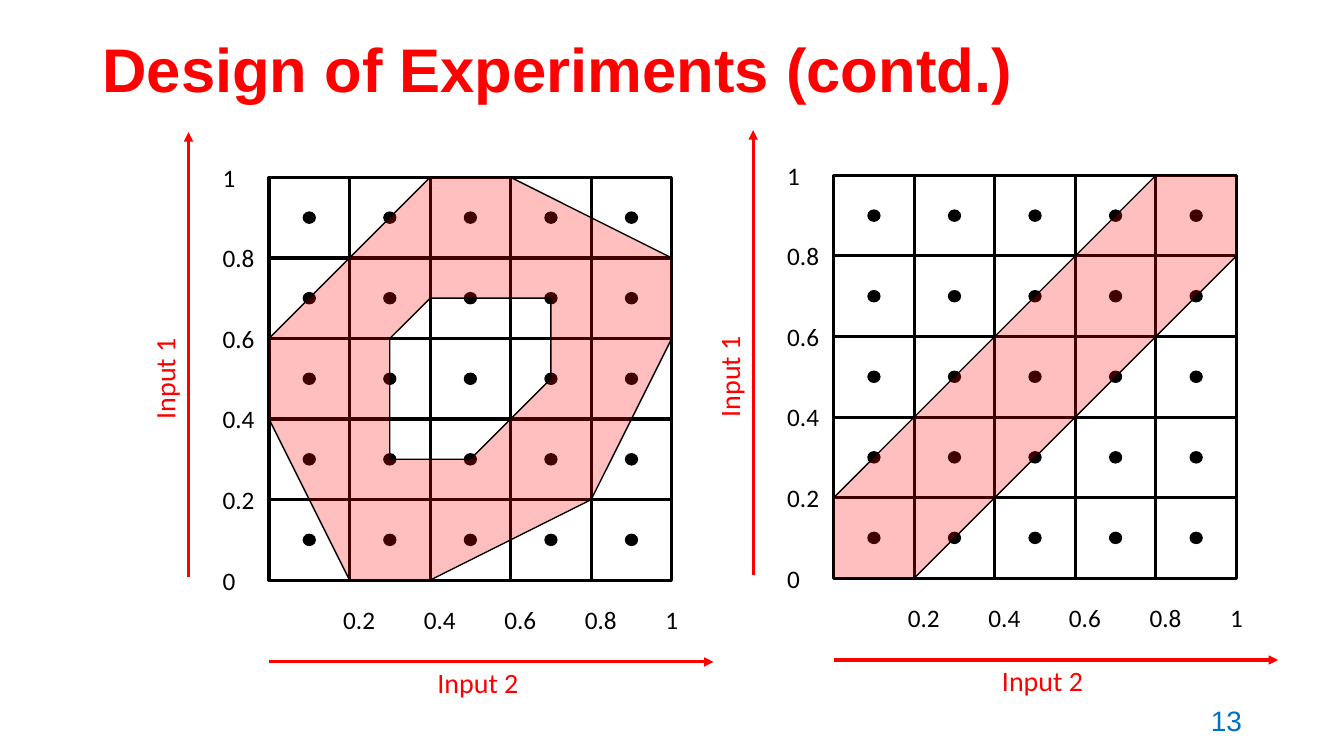
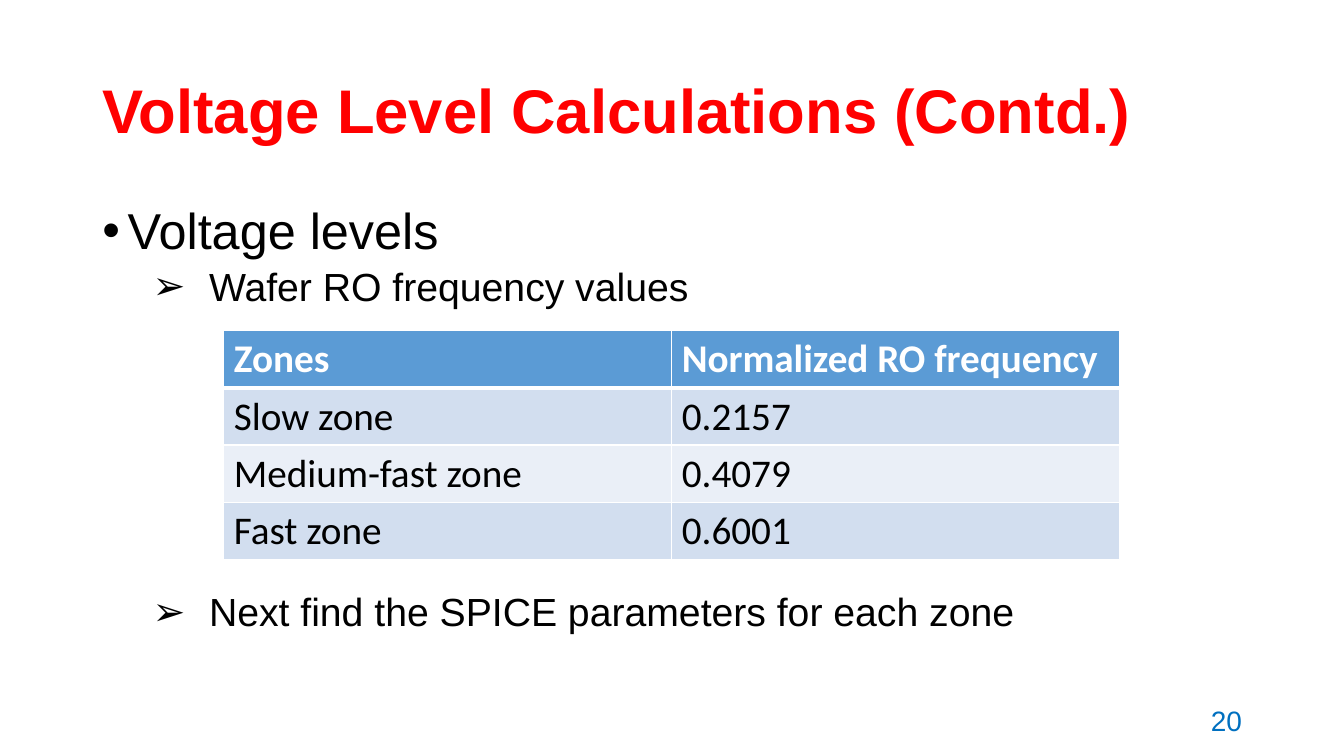
from dataclasses import dataclass
from itertools import product

from lxml.etree import SubElement
from pptx import Presentation
from pptx.dml.color import RGBColor
from pptx.enum.shapes import MSO_CONNECTOR, MSO_SHAPE
from pptx.enum.text import MSO_ANCHOR, PP_ALIGN
from pptx.oxml.ns import qn
from pptx.util import Cm, Pt

RECT, OVAL = MSO_SHAPE.RECTANGLE, MSO_SHAPE.OVAL
LINE = MSO_CONNECTOR.STRAIGHT
TOP, MIDDLE = MSO_ANCHOR.TOP, MSO_ANCHOR.MIDDLE
LEFT, CENTER, RIGHT = PP_ALIGN.LEFT, PP_ALIGN.CENTER, PP_ALIGN.RIGHT

COLORS = {
    "red": "FF0000",
    "blue": "0070C0",
    "black": "000000",
    "white": "FFFFFF",
    "head": "5B9BD5",
    "odd": "D2DEEF",
    "even": "EAEFF7",
}
HEAD_FONT, PLOT_FONT = "Arial", "Calibri"
MARGIN, WIDTH = 2.33, 29.21
CELL, COUNT = 2.03, 5
SIDE = CELL * COUNT
TICKS = ["0", "0.2", "0.4", "0.6", "0.8", "1"]

Points = list[tuple[float, float]]


@dataclass(frozen=True)
class Style:
    size: float
    color: str = "black"
    font: str = HEAD_FONT
    bold: bool = False


@dataclass(frozen=True)
class Box:
    left: float
    top: float
    width: float
    height: float

    def lengths(self) -> list[Cm]:
        return [Cm(v) for v in (self.left, self.top, self.width, self.height)]


@dataclass(frozen=True)
class Panel:
    """A plot; its zone is a list of outlines in cells from the top left."""
    left: float
    top: float
    zone: list[Points]


@dataclass(frozen=True)
class Bullet:
    text: str
    mark: str
    size: float
    margin: float
    hang: float
    before: float


TITLE = Style(44, "red", bold=True)
NUMBER = Style(20, "blue")
TICK = Style(18, font=PLOT_FONT)
AXIS = Style(20, "red", PLOT_FONT)

RING = [
    [(2, 1.5), (1.5, 2), (1.5, 3.5), (2.5, 3.5), (3.5, 2.5), (3.5, 1.5)],
    [(2, 0), (3, 0), (5, 1), (5, 2), (4, 4), (2, 5), (1, 5), (0, 3), (0, 2)],
]
BAND = [[(0, 4), (0, 5), (1, 5), (5, 1), (5, 0), (4, 0)]]
PANELS = [Panel(6.78, 4.47, RING), Panel(21.01, 4.42, BAND)]

BULLETS = [
    Bullet("Voltage levels", "•", 36, 0.64, 0.64, 10),
    Bullet("Wafer RO frequency values", "➢", 28, 2.69, 1.42, 5),
    Bullet("Next find the SPICE parameters for each zone", "➢", 28, 2.69, 1.42, 202),
]
ROWS = [
    ("Zones", "Normalized RO frequency"),
    ("Slow zone", "0.2157"),
    ("Medium-fast zone", "0.4079"),
    ("Fast zone", "0.6001"),
]


def shade(name: str) -> RGBColor:
    return RGBColor.from_string(COLORS[name])


def write(para, text: str, style: Style) -> None:
    para.text = text
    for run in para.runs:
        font = run.font
        font.name, font.size, font.bold = style.font, Pt(style.size), style.bold
        font.color.rgb = shade(style.color)


def add_text(slide, box: Box, text: str, style: Style, align=LEFT, anchor=TOP):
    shape = slide.shapes.add_textbox(*box.lengths())
    frame = shape.text_frame
    frame.word_wrap, frame.vertical_anchor = True, anchor
    para = frame.paragraphs[0]
    write(para, text, style)
    para.alignment = align
    return shape


def add_page(deck, title: str, top: float, number: int):
    slide = deck.slides.add_slide(deck.slide_layouts[6])
    box = add_text(slide, Box(MARGIN, top, WIDTH, 3.68), title, TITLE, anchor=MIDDLE)
    box.text_frame.paragraphs[0].line_spacing = 0.9
    add_text(slide, Box(23.93, 17.65, 7.62, 1.02), str(number), NUMBER, RIGHT, MIDDLE)
    return slide


def add_line(slide, start: tuple[float, float], end: tuple[float, float],
             color: str, arrow: bool = False) -> None:
    line = slide.shapes.add_connector(LINE, *(Cm(v) for v in start + end))
    line.line.width = Pt(2.25)
    line.line.color.rgb = shade(color)
    props = line.element.spPr
    if arrow:
        SubElement(props.find(qn("a:ln")), qn("a:tailEnd"), type="triangle")
    SubElement(props, qn("a:effectLst"))


def outline(shape, width: float) -> None:
    shape.shadow.inherit = False
    shape.line.width = Pt(width)
    shape.line.color.rgb = shade("black")


def add_grid(slide, panel: Panel) -> None:
    left, top = panel.left, panel.top
    frame = slide.shapes.add_shape(RECT, *Box(left, top, SIDE, SIDE).lengths())
    frame.fill.background()
    outline(frame, 2.25)
    for step in range(1, COUNT):
        x, y = left + step * CELL, top + step * CELL
        add_line(slide, (x, top), (x, top + SIDE), "black")
        add_line(slide, (left, y), (left + SIDE, y), "black")
    wide, high = 0.3, 0.28
    for row, col in product(range(COUNT), repeat=2):
        x, y = left + (col + 0.5) * CELL, top + (row + 0.5) * CELL
        spot = Box(x - wide / 2, y - high / 2, wide, high)
        dot = slide.shapes.add_shape(OVAL, *spot.lengths())
        dot.fill.solid()
        dot.fill.fore_color.rgb = shade("black")
        outline(dot, 1)


def add_axes(slide, panel: Panel) -> None:
    left, top = panel.left, panel.top
    base = top + SIDE
    for step, text in enumerate(TICKS):
        shift = step * CELL
        add_text(slide, Box(left - 1.42, base - shift - 0.51, 1.6, 1.02), text, TICK)
        if step:
            add_text(slide, Box(left + shift - 0.41, base + 0.48, 1.6, 1.02), text, TICK)
    wide, high = 3, 1.12
    add_line(slide, (left, base + 2.06), (left + 11.2, base + 2.06), "red", True)
    across = Box(left + SIDE / 2 + 0.19 - wide / 2, base + 2.03, wide, high)
    add_text(slide, across, "Input 2", AXIS, CENTER)
    add_line(slide, (left - 2.03, base - 0.08), (left - 2.03, top - 1.14), "red", True)
    upright = Box(left - 2.63 - wide / 2, top + SIDE / 2 - high / 2, wide, high)
    add_text(slide, upright, "Input 1", AXIS, CENTER).rotation = 270


def add_zone(slide, panel: Panel) -> None:
    paths = [[(Cm(panel.left + x * CELL), Cm(panel.top + y * CELL)) for x, y in path]
             for path in panel.zone]
    first, *others = paths
    pen = slide.shapes.build_freeform(*first[0])
    pen.add_line_segments(first[1:], close=True)
    for path in others:
        pen.move_to(*path[0])
        pen.add_line_segments(path[1:], close=True)
    zone = pen.convert_to_shape()
    zone.fill.solid()
    zone.fill.fore_color.rgb = shade("red")
    tint = zone.element.spPr.find(qn("a:solidFill")).find(qn("a:srgbClr"))
    SubElement(tint, qn("a:alpha"), val="25000")
    outline(zone, 1)


def add_list(slide, box: Box, items: list[Bullet]) -> None:
    frame = slide.shapes.add_textbox(*box.lengths()).text_frame
    frame.word_wrap = True
    for place, item in enumerate(items):
        para = frame.add_paragraph() if place else frame.paragraphs[0]
        write(para, item.text, Style(item.size))
        para.line_spacing, para.space_before = 0.9, Pt(item.before)
        props = para._p.get_or_add_pPr()
        props.set("marL", str(Cm(item.margin)))
        props.set("indent", str(-Cm(item.hang)))
        SubElement(props, qn("a:buFont"), typeface=HEAD_FONT)
        SubElement(props, qn("a:buChar"), char=item.mark)


def add_edges(cell, base: float) -> None:
    """Draw white cell borders, the lower one base points wide."""
    props = cell._tc.get_or_add_tcPr()
    widths = {"lnL": 1, "lnR": 1, "lnT": 1, "lnB": base}
    for place, (tag, width) in enumerate(widths.items()):
        edge = SubElement(props, qn(f"a:{tag}"), w=str(Pt(width)))
        fill = SubElement(edge, qn("a:solidFill"))
        SubElement(fill, qn("a:srgbClr"), val=COLORS["white"])
        props.insert(place, edge)


def add_zones(slide, box: Box, rows: list[tuple[str, str]]) -> None:
    table = slide.shapes.add_table(len(rows), len(rows[0]), *box.lengths()).table
    for place, row in enumerate(rows):
        head = place == 0
        fill = "head" if head else ("odd" if place % 2 else "even")
        style = Style(28, "white" if head else "black", PLOT_FONT, head)
        for col, text in enumerate(row):
            cell = table.cell(place, col)
            write(cell.text_frame.paragraphs[0], text, style)
            cell.fill.solid()
            cell.fill.fore_color.rgb = shade(fill)
            add_edges(cell, 3 if head else 1)


def main() -> None:
    deck = Presentation()
    deck.slide_width, deck.slide_height = Cm(33.87), Cm(19.05)

    plots = add_page(deck, "Design of Experiments (contd.)", 0, 13)
    for panel in PANELS:
        add_grid(plots, panel)
        add_axes(plots, panel)
        add_zone(plots, panel)

    levels = add_page(deck, "Voltage Level Calculations (Contd.)", 1.01, 20)
    add_list(levels, Box(MARGIN, 5.07, WIDTH, 12.09), BULLETS)
    add_zones(levels, Box(5.64, 8.33, 22.58, 5.77), ROWS)

    deck.save("out.pptx")


if __name__ == "__main__":
    main()
